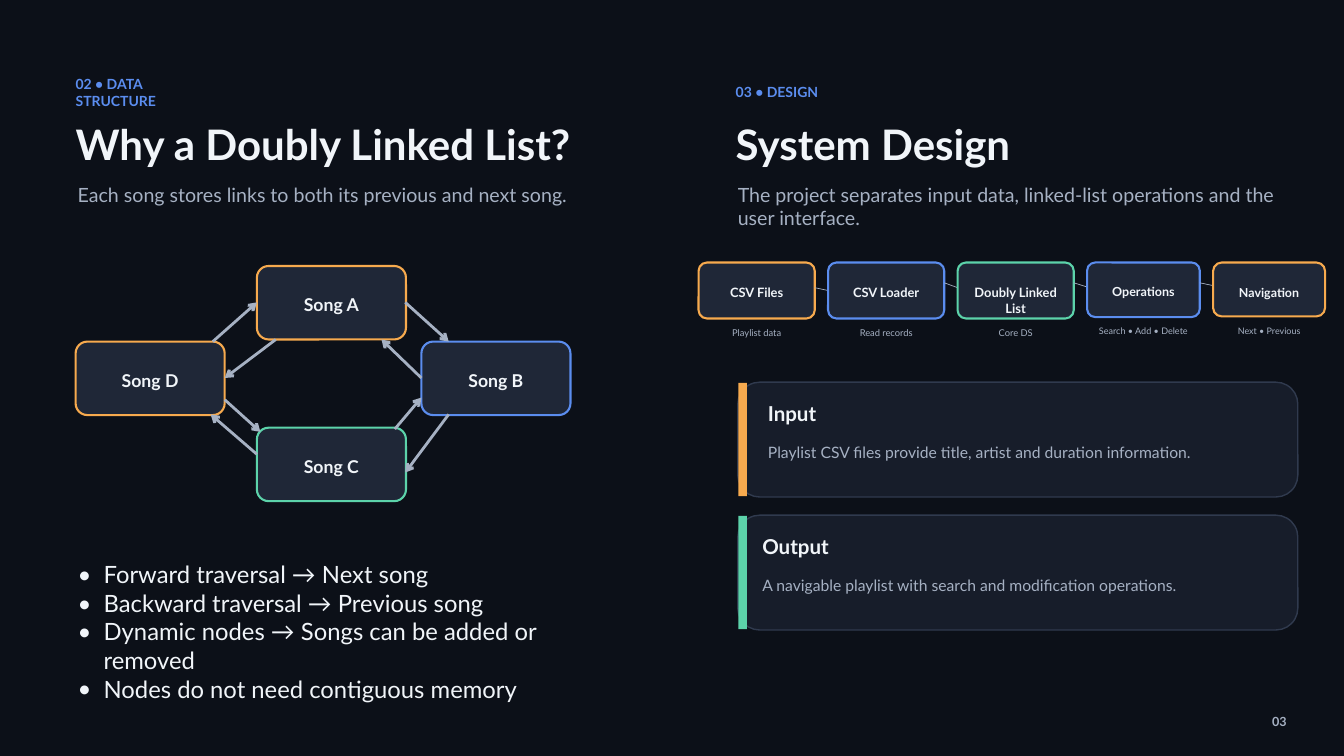
"""Build a slide on a doubly linked playlist and its system design."""
from dataclasses import dataclass

from lxml.etree import SubElement
from pptx import Presentation
from pptx.dml.color import RGBColor
from pptx.enum.shapes import MSO_CONNECTOR as Link, MSO_SHAPE as Preset
from pptx.enum.text import MSO_ANCHOR as Anchor, MSO_AUTO_SIZE as Fit, PP_ALIGN as Align
from pptx.oxml.ns import qn
from pptx.util import Emu, Pt


@dataclass(frozen=True)
class Theme:
    """Colours, font and type sizes of the slide."""
    font: str = "Lato"
    backdrop: str = "0C1018"
    node: str = "1F2737"
    card: str = "171D2A"
    border: str = "303A4E"
    ink: str = "F1F5F9"
    muted: str = "A6B1C3"
    orange: str = "F7AA4E"
    blue: str = "5B8DEF"
    green: str = "5CD3AA"
    section: float = 15
    heading: float = 45
    lead: float = 21
    bullet: float = 25.5
    song: float = 18.9
    stage: float = 13.8
    caption: float = 10
    card_title: float = 22
    card_body: float = 16.8
    page: float = 13.5


THEME = Theme()
LINE_HEIGHT = 1.2
BULLET_INDENT = 37

SONG_SIZE = (213, 105)
SONGS = [
    ("Song A", 367, 380, THEME.orange),
    ("Song B", 602, 488, THEME.blue),
    ("Song C", 367, 611, THEME.green),
    ("Song D", 108, 488, THEME.orange),
]
SONG_LINKS = [
    ((304, 488), (367, 432)), ((394, 485), (321, 540)),
    ((579, 432), (641, 488)), ((602, 540), (545, 485)),
    ((641, 592), (579, 675)), ((564, 613), (602, 568)),
    ((367, 649), (301, 592)), ((321, 571), (372, 617)),
]
BENEFITS = [
    "Forward traversal → Next song",
    "Backward traversal → Previous song",
    "Dynamic nodes → Songs can be added or removed",
    "Nodes do not need contiguous memory",
]
STAGE_WIDTH, STAGE_GAP = 166, 19
STAGES = [
    ("CSV Files", "Playlist data", 166, THEME.orange),
    ("CSV Loader", "Read records", 166, THEME.blue),
    ("Doubly Linked List", "Core DS", 166, THEME.green),
    ("Operations", "Search • Add • Delete", 161, THEME.blue),
    ("Navigation", "Next • Previous", 160, THEME.orange),
]
STAGE_LINKS = [(411, 415), (404, 411), (404, 410), (404, 408)]
CARDS = [
    ("Input", "Playlist CSV files provide title, artist and duration information.",
     546, 1097, THEME.orange),
    ("Output", "A navigable playlist with search and modification operations.",
     736, 1089, THEME.green),
]


def px(length):
    """Turn pixels into EMU."""
    return Emu(round(length * 9525))


def rgb(colour):
    """Turn a hex string into a colour."""
    return RGBColor.from_string(colour)


def write(holder, lines, size, colour=THEME.ink, bold=False, align=Align.LEFT,
          anchor=Anchor.TOP, insets=(0, 0)):
    """Fill a shape with paragraphs in one style; insets are side and top."""
    frame = holder.text_frame
    frame.word_wrap, frame.auto_size, frame.vertical_anchor = True, Fit.NONE, anchor
    side, top = insets
    frame.margin_left = frame.margin_right = px(side)
    frame.margin_top, frame.margin_bottom = px(top), 0
    for index, line in enumerate(lines):
        paragraph = frame.add_paragraph() if index else frame.paragraphs[0]
        paragraph.alignment = align
        paragraph.line_spacing = Pt(round(size * LINE_HEIGHT, 1))
        paragraph.space_before = paragraph.space_after = Pt(0)
        run = paragraph.add_run()
        run.text = line
        run.font.name, run.font.size, run.font.bold = THEME.font, Pt(size), bold
        run.font.color.rgb = rgb(colour)


def add_text(slide, box, line, size, colour=THEME.ink, **style):
    """Add a one-paragraph text box."""
    label = slide.shapes.add_textbox(*map(px, box))
    write(label, [line], size, colour, **style)


def place(placeholder, box):
    """Move a placeholder to a box."""
    placeholder.left, placeholder.top, placeholder.width, placeholder.height = map(px, box)


def add_panel(slide, box, fill, border=None, weight=2.25, radius=0):
    """Add a filled rectangle, rounded when it has a radius."""
    preset = Preset.ROUNDED_RECTANGLE if radius else Preset.RECTANGLE
    panel = slide.shapes.add_shape(preset, *map(px, box))
    panel.shadow.inherit = False
    if radius:
        panel.adjustments[0] = round(radius / box[3], 2)
    panel.fill.solid()
    panel.fill.fore_color.rgb = rgb(fill)
    if border:
        panel.line.color.rgb = rgb(border)
        panel.line.width = Pt(weight)
    else:
        panel.line.fill.background()
    return panel


def add_link(slide, start, end, weight, arrow=False):
    """Connect two points, with an optional arrowhead at the end."""
    link = slide.shapes.add_connector(Link.STRAIGHT, *map(px, (*start, *end)))
    link.line.color.rgb = rgb(THEME.muted)
    link.line.width = Pt(weight)
    if arrow:
        SubElement(link.line._get_or_add_ln(), qn("a:tailEnd"), type="arrow")
    SubElement(link._element.spPr, qn("a:effectLst"))


def add_benefits(body):
    """Turn the body placeholder into the bulleted list."""
    place(body, (111, 800, 788, 160))
    write(body, BENEFITS, THEME.bullet)
    for paragraph in body.text_frame.paragraphs:
        props = paragraph._p.get_or_add_pPr()
        props.set("marL", str(px(BULLET_INDENT)))
        props.set("indent", str(px(-BULLET_INDENT)))
        SubElement(props, qn("a:buFont"), typeface=THEME.font)
        SubElement(props, qn("a:buChar"), char="•")


def add_song_ring(slide):
    """Draw the songs and the links between neighbours."""
    for name, left, top, colour in SONGS:
        song = add_panel(slide, (left, top, *SONG_SIZE), THEME.node, colour, radius=17)
        write(song, [name], THEME.song, bold=True, align=Align.CENTER,
              anchor=Anchor.MIDDLE, insets=(0, 6))
    for start, end in SONG_LINKS:
        add_link(slide, start, end, 3, arrow=True)


def add_pipeline(slide):
    """Draw the design stages from left to right with their captions."""
    left, top = 998, 375
    for index, (name, caption, width, colour) in enumerate(STAGES):
        scale = width / STAGE_WIDTH
        stage = add_panel(slide, (left, top, width, round(80 * scale)),
                          THEME.node, colour, radius=12)
        write(stage, [name], round(THEME.stage * scale, 1), bold=True,
              align=Align.CENTER, insets=(10, 28))
        add_text(slide, (left, top + round(93 * scale), width, 16), caption,
                 round(THEME.caption * scale, 1), THEME.muted, align=Align.CENTER)
        right = left + width
        left = right + STAGE_GAP
        if index < len(STAGE_LINKS):
            start, end = STAGE_LINKS[index]
            add_link(slide, (right, start), (left, end), 0.75)


def add_card(slide, title, detail, top, text_left, colour):
    """Add a card with an accent bar, a title and a detail line."""
    add_panel(slide, (1054, top, 800, 164), THEME.card, THEME.border, 1.5, radius=31)
    add_panel(slide, (1055, top + 1, 12, 162), colour)
    add_text(slide, (text_left, top + 27, 722, 35), title, THEME.card_title, bold=True)
    add_text(slide, (text_left, top + 86, 722, 28), detail, THEME.card_body, THEME.muted)


def main():
    """Build and save the slide."""
    deck = Presentation()
    deck.slide_width, deck.slide_height = px(1920), px(1080)
    slide = deck.slides.add_slide(deck.slide_layouts[1])
    slide.background.fill.solid()
    slide.background.fill.fore_color.rgb = rgb(THEME.backdrop)

    add_text(slide, (108, 108, 205, 48), "02 • DATA STRUCTURE",
             THEME.section, THEME.blue, bold=True)
    place(slide.shapes.title, (108, 170, 760, 72))
    write(slide.shapes.title, ["Why a Doubly Linked List?"], THEME.heading, bold=True)
    add_text(slide, (111, 261, 760, 34),
             "Each song stores links to both its previous and next song.",
             THEME.lead, THEME.muted)
    add_song_ring(slide)
    add_benefits(slide.placeholders[1])

    add_text(slide, (1051, 120, 205, 24), "03 • DESIGN",
             THEME.section, THEME.blue, bold=True)
    add_text(slide, (1051, 170, 760, 72), "System Design", THEME.heading, bold=True)
    add_text(slide, (1054, 261, 783, 67),
             "The project separates input data, linked-list operations and the user interface.",
             THEME.lead, THEME.muted)
    add_pipeline(slide)
    for card in CARDS:
        add_card(slide, *card)
    add_text(slide, (1778, 1020, 60, 28), "03", THEME.page, THEME.muted,
             bold=True, align=Align.RIGHT)
    deck.save("out.pptx")


if __name__ == "__main__":
    main()
